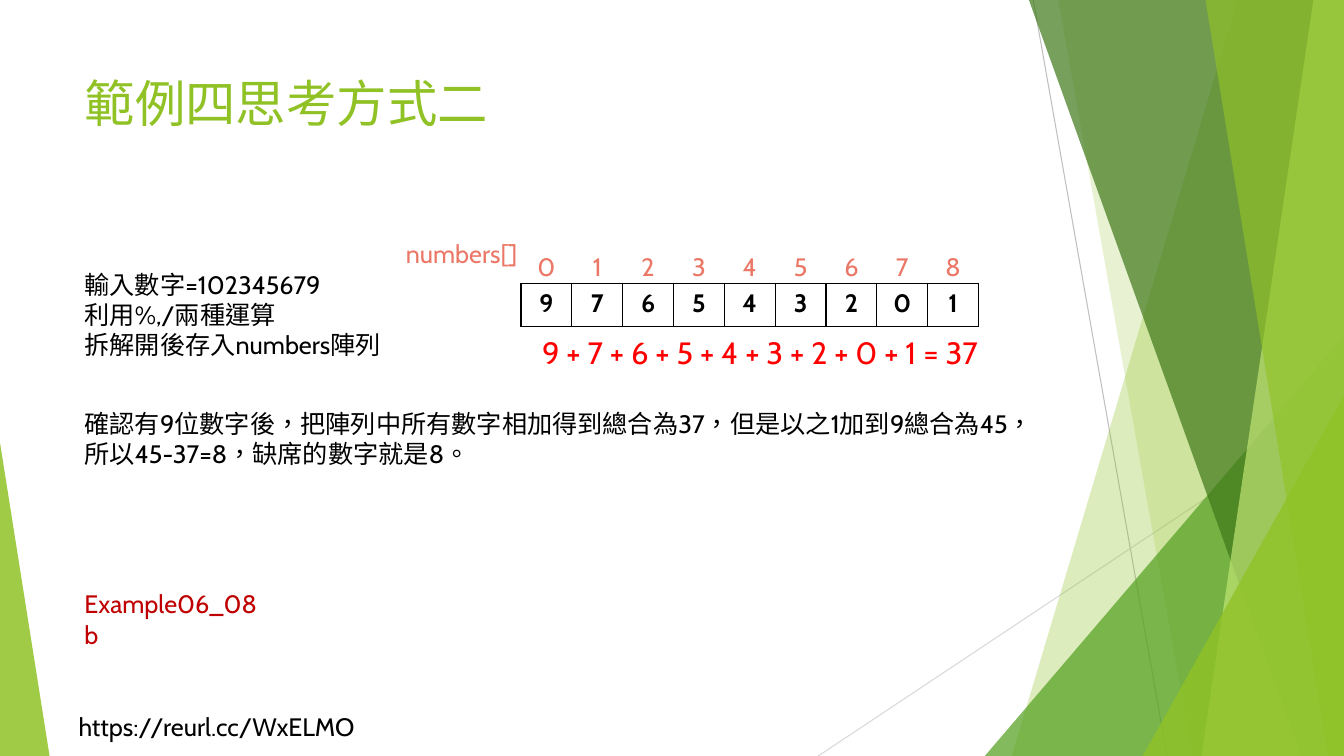
from dataclasses import dataclass

from lxml import etree
from pptx import Presentation
from pptx import util as u
from pptx.dml.color import RGBColor
from pptx.enum import lang, shapes, text
from pptx.oxml.ns import qn


@dataclass(frozen=True)
class Theme:
    font: str = "Cabin"
    black: str = "000000"
    white: str = "FFFFFF"
    lime: str = "90C226"
    pale_lime: str = "C0E474"
    green: str = "54A021"
    dark_green: str = "3F7819"
    gray: str = "BFBFBF"
    light_gray: str = "D9D9D9"
    coral: str = "EB7766"
    red: str = "FF0000"
    dark_red: str = "C00000"
    title_size: int = 36
    sum_size: int = 22
    body_size: int = 18


WIDTH, HEIGHT = 33.87, 19.05


def write_text(tf, content, size, color, font, bold=False, align=text.PP_ALIGN.LEFT):
    """Fill a text frame, one paragraph per line of content."""
    for i, line in enumerate(content.split("\n")):
        p = tf.paragraphs[0] if i == 0 else tf.add_paragraph()
        p.alignment = align
        r = p.add_run()
        r.text = line
        r.font.name = font
        r.font.size = u.Pt(size)
        r.font.bold = bold
        r.font.color.rgb = RGBColor.from_string(color)
        r.font.language_id = lang.MSO_LANGUAGE_ID.TRADITIONAL_CHINESE


class SlideBuilder:
    def __init__(self, prs, theme):
        self.theme = theme
        self.s = prs.slides.add_slide(prs.slide_layouts[5])

    def paint(self, sp, color, opacity):
        sp.shadow.inherit = False
        sp.line.fill.background()
        sp.fill.solid()
        sp.fill.fore_color.rgb = RGBColor.from_string(color)
        clr = sp.fill._xPr.find(".//" + qn("a:srgbClr"))
        etree.SubElement(clr, qn("a:alpha"), val=str(opacity * 1000))

    def line(self, x1, y1, x2, y2, color):
        sp = self.s.shapes.add_connector(
            shapes.MSO_CONNECTOR.STRAIGHT, u.Cm(x1), u.Cm(y1), u.Cm(x2), u.Cm(y2))
        sp.line.color.rgb = RGBColor.from_string(color)
        sp.line.width = u.Pt(0.75)
        etree.SubElement(sp._element.spPr, qn("a:effectLst"))

    def band(self, top_x, bottom_x, color, opacity):
        """Full-height band from a slanted left side to the right slide edge."""
        builder = self.s.shapes.build_freeform(u.Cm(top_x), 0)
        corners = [(WIDTH, 0), (WIDTH, HEIGHT), (bottom_x, HEIGHT)]
        builder.add_line_segments([(u.Cm(x), u.Cm(y)) for x, y in corners])
        self.paint(builder.convert_to_shape(), color, opacity)

    def triangle(self, left, top, width, apex, color, opacity):
        """Triangle standing on the bottom slide edge."""
        sp = self.s.shapes.add_shape(
            shapes.MSO_SHAPE.ISOSCELES_TRIANGLE,
            u.Cm(left), u.Cm(top), u.Cm(width), u.Cm(HEIGHT - top))
        sp.adjustments[0] = apex
        self.paint(sp, color, opacity)

    def title(self, content, left, top, width, height):
        sp = self.s.shapes.title
        sp.left, sp.top, sp.width, sp.height = map(u.Cm, (left, top, width, height))
        tf = sp.text_frame
        tf.vertical_anchor = text.MSO_ANCHOR.TOP
        tf.auto_size = text.MSO_AUTO_SIZE.NONE
        write_text(tf, content, size=self.theme.title_size,
                   color=self.theme.lime, font=self.theme.font)

    def text_box(self, content, left, top, width, height, color=None, size=None):
        sp = self.s.shapes.add_textbox(u.Cm(left), u.Cm(top), u.Cm(width), u.Cm(height))
        tf = sp.text_frame
        tf.word_wrap = True
        tf.auto_size = text.MSO_AUTO_SIZE.SHAPE_TO_FIT_TEXT
        write_text(tf, content, size=size or self.theme.body_size,
                   color=color or self.theme.black, font=self.theme.font)

    def border(self, cell, color):
        tc_pr = cell._tc.get_or_add_tcPr()
        for i, side in enumerate(("a:lnL", "a:lnR", "a:lnT", "a:lnB")):
            ln = etree.Element(qn(side), w=str(u.Pt(1)))
            fill = etree.SubElement(ln, qn("a:solidFill"))
            etree.SubElement(fill, qn("a:srgbClr"), val=color)
            tc_pr.insert(i, ln)

    def digit_row(self, digits, left, top, width, height, color, bold=False, border=None):
        table = self.s.shapes.add_table(
            1, len(digits), u.Cm(left), u.Cm(top), u.Cm(width), u.Cm(height)).table
        table.first_row = table.horz_banding = False
        for cell, digit in zip(table.iter_cells(), digits):
            cell.fill.solid()
            cell.fill.fore_color.rgb = RGBColor.from_string(self.theme.white)
            write_text(cell.text_frame, digit, size=self.theme.body_size, color=color,
                       font=self.theme.font, bold=bold, align=text.PP_ALIGN.CENTER)
            if border:
                self.border(cell, border)


def main():
    prs = Presentation()
    prs.slide_width, prs.slide_height = u.Cm(WIDTH), u.Cm(HEIGHT)
    t = Theme()
    s = SlideBuilder(prs, t)

    # Green facets on both sides
    s.line(26.04, 0, 29.41, HEIGHT, t.gray)
    s.line(WIDTH, 10.24, 20.62, HEIGHT, t.light_gray)
    s.band(31.19, 25.5, t.lime, 30)
    s.band(26.67, 30.05, t.lime, 20)
    s.triangle(24.82, 8.46, 9.05, 1, t.green, 72)
    s.band(25.93, 32.79, t.dark_green, 70)
    s.band(33.1, 30.28, t.pale_lime, 70)
    s.band(30.38, 33.48, t.lime, 65)
    s.triangle(28.8, 9.98, 5.07, 1, t.lime, 80)
    s.triangle(0, 11.15, 1.25, 0, t.lime, 85)

    # Title and footer link
    margin = 1.88
    s.title("範例四思考方式二", margin, 1.7, 23.88, 3.66)
    s.text_box("https://reurl.cc/WxELMO", 1.73, 17.81, 7.92, 1.02)

    # Input and how it is split
    s.text_box("輸入數字=102345679\n利用%,/兩種運算\n拆解開後存入numbers陣列",
               margin, 6.65, 8.1, 2.57)

    # Array with indexes above and the sum below
    values = "976543201"
    indexes = [str(i) for i in range(len(values))]
    s.digit_row(indexes, 13.13, 6.22, 11.53, 1.09, t.coral)
    s.digit_row(values, 13.13, 7.14, 11.53, 1.09, t.black, bold=True, border=t.black)
    s.text_box("numbers[]", 9.98, 5.89, 3.43, 1.02, color=t.coral)
    total = sum(map(int, values))
    s.text_box(f"{' + '.join(values)} = {total}", 13.41, 8.28, 12.95, 1.19,
               color=t.red, size=t.sum_size)

    # Conclusion and example name
    s.text_box("確認有9位數字後，把陣列中所有數字相加得到總合為37，但是以之1加到9總合為45，\n"
               "所以45-37=8，缺席的數字就是8。", margin, 10.16, 24.69, 1.8)
    s.text_box("Example06_08b", margin, 14.71, 5, 1.02, color=t.dark_red)

    prs.save("out.pptx")


if __name__ == "__main__":
    main()
